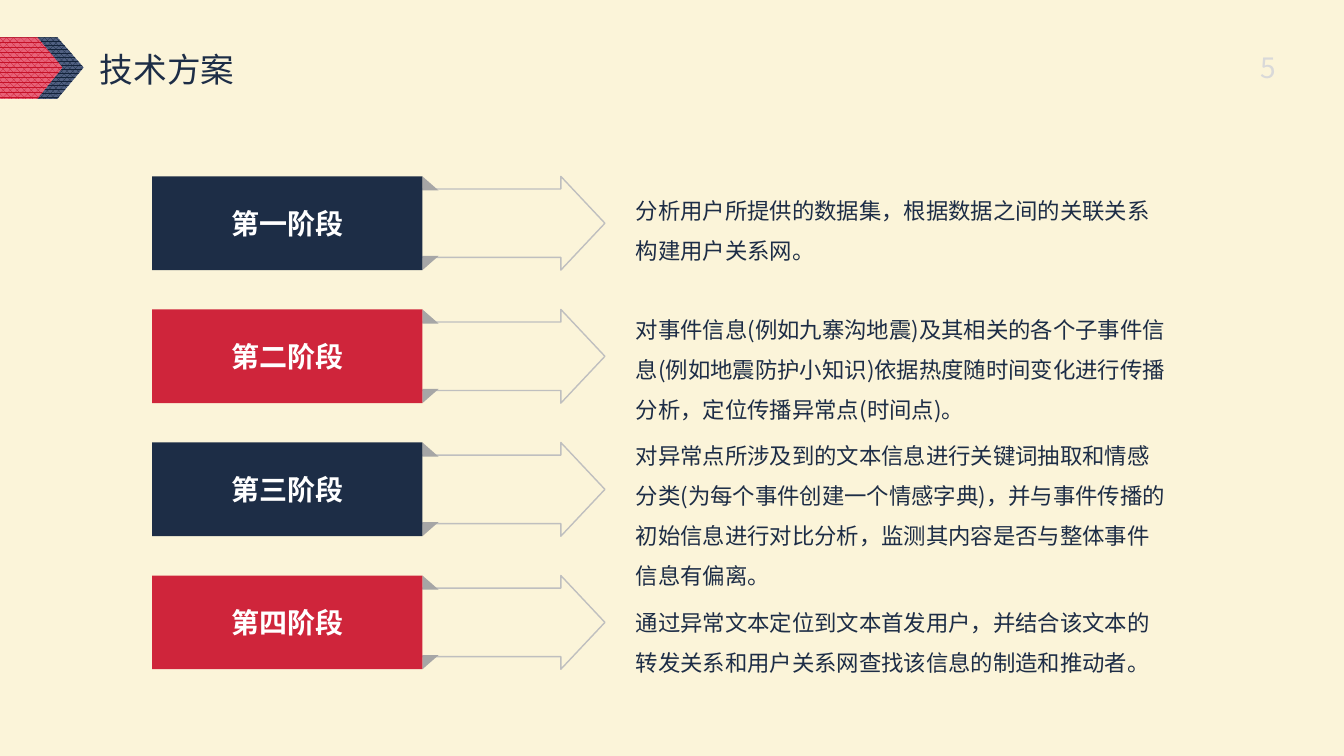
from dataclasses import dataclass

from lxml.etree import SubElement
from pptx import Presentation
from pptx.dml.color import RGBColor
from pptx.enum.dml import MSO_PATTERN
from pptx.enum.shapes import MSO_SHAPE
from pptx.enum.text import MSO_ANCHOR, PP_ALIGN
from pptx.oxml.ns import qn
from pptx.util import Inches, Pt

FONT = "Noto Sans CJK SC"
CREAM, NAVY, RED = "FBF4D9", "1D2D46", "CF253B"
WHITE, FOLD_GREY, LINE_GREY, NUMBER_GREY = "FFFFFF", "A6A6A6", "BFBFBF", "D9D9D9"
FIRST_TOP, PITCH, BANNER_HEIGHT = 1.75, 1.32, 0.93
BANNER_LEFT, BANNER_WIDTH = 1.51, 2.68
FOLD_WIDTH, FOLD_HEIGHT = 0.16, 0.14


@dataclass
class Stage:
    name: str
    text: str
    text_top: float
    text_height: float


@dataclass
class Chevron:
    shoulder: float
    tip: float
    pattern: MSO_PATTERN
    fore: str
    back: str


STAGES = [
    Stage("第一阶段", "分析用户所提供的数据集，根据数据之间的关联关系构建用户关系网。", 1.77, 0.91),
    Stage("第二阶段", "对事件信息(例如九寨沟地震)及其相关的各个子事件信息(例如地震防护小知识)"
          "依据热度随时间变化进行传播分析，定位传播异常点(时间点)。", 2.95, 1.31),
    Stage("第三阶段", "对异常点所涉及到的文本信息进行关键词抽取和情感分类(为每个事件创建一个情感字典)，"
          "并与事件传播的初始信息进行对比分析，监测其内容是否与整体事件信息有偏离。", 4.2, 1.72),
    Stage("第四阶段", "通过异常文本定位到文本首发用户，并结合该文本的转发关系和用户关系网"
          "查找该信息的制造和推动者。", 5.86, 0.91),
]
CHEVRONS = [
    Chevron(0.57, 0.83, MSO_PATTERN.PERCENT_75, "13233B", "506081"),
    Chevron(0.37, 0.62, MSO_PATTERN.PERCENT_70, "C61027", "E76278"),
]


def color(value: str) -> RGBColor:
    return RGBColor.from_string(value)


def write(box, text: str, size: int, ink: str, bold: bool = False,
          align=PP_ALIGN.LEFT, spacing: float = 1.0, anchor=MSO_ANCHOR.TOP) -> None:
    frame = box.text_frame
    frame.word_wrap = True
    frame.vertical_anchor = anchor
    para = frame.paragraphs[0]
    para.text = text
    para.alignment = align
    para.line_spacing = spacing
    font = para.font
    font.name, font.size, font.bold = FONT, Pt(size), bold
    font.color.rgb = color(ink)
    properties = para._p.pPr.find(qn("a:defRPr"))
    SubElement(properties, qn("a:ea")).set("typeface", FONT)


def add_text(page, left: float, top: float, width: float, height: float,
             text: str, size: int, ink: str, **style) -> None:
    box = page.shapes.add_textbox(Inches(left), Inches(top), Inches(width), Inches(height))
    write(box, text, size, ink, **style)


def add_solid(page, kind, left: float, top: float, width: float, height: float, fill: str):
    shape = page.shapes.add_shape(kind, Inches(left), Inches(top), Inches(width), Inches(height))
    shape.shadow.inherit = False
    shape.fill.solid()
    shape.fill.fore_color.rgb = color(fill)
    shape.line.fill.background()
    return shape


def add_chevron(page, chevron: Chevron) -> None:
    top, middle, bottom = 0.37, 0.67, 0.98
    corners = [(chevron.shoulder, top), (chevron.tip, middle),
               (chevron.shoulder, bottom), (0, bottom)]
    builder = page.shapes.build_freeform(0, Inches(top))
    builder.add_line_segments([(Inches(x), Inches(y)) for x, y in corners])
    shape = builder.convert_to_shape()
    shape.shadow.inherit = False
    shape.line.fill.background()
    shape.fill.patterned()
    shape.fill.pattern = chevron.pattern
    shape.fill.fore_color.rgb = color(chevron.fore)
    shape.fill.back_color.rgb = color(chevron.back)


def add_arrow(page, top: float) -> None:
    arrow = add_solid(page, MSO_SHAPE.RIGHT_ARROW, 3, top, 3, BANNER_HEIGHT, CREAM)
    arrow.adjustments[0], arrow.adjustments[1] = 0.73, 0.47
    arrow.line.color.rgb = color(LINE_GREY)
    arrow.line.width = Pt(1)


def add_banner(page, top: float, name: str, fill: str) -> None:
    fold_left = BANNER_LEFT + BANNER_WIDTH
    lower_top = top + BANNER_HEIGHT - FOLD_HEIGHT
    for fold_top, flipped in ((lower_top, True), (top, False)):
        fold = add_solid(page, MSO_SHAPE.RIGHT_TRIANGLE, fold_left, fold_top,
                         FOLD_WIDTH, FOLD_HEIGHT, FOLD_GREY)
        if flipped:
            fold._element.spPr.xfrm.set("flipV", "1")
    banner = add_solid(page, MSO_SHAPE.RECTANGLE, BANNER_LEFT, top,
                       BANNER_WIDTH, BANNER_HEIGHT, fill)
    write(banner, name, 20, WHITE, bold=True, align=PP_ALIGN.CENTER, anchor=MSO_ANCHOR.MIDDLE)


def main() -> None:
    deck = Presentation()
    deck.slide_width, deck.slide_height = Inches(13.33), Inches(7.5)
    page = deck.slides.add_slide(deck.slide_layouts[5])
    page.background.fill.solid()
    page.background.fill.fore_color.rgb = color(CREAM)

    for chevron in CHEVRONS:
        add_chevron(page, chevron)
    title = page.shapes.title
    title.left, title.top = Inches(0.89), Inches(0.48)
    title.width, title.height = Inches(8.62), Inches(0.47)
    write(title, "技术方案", 24, NAVY, spacing=0.9, anchor=MSO_ANCHOR.MIDDLE)
    add_text(page, 11.75, 0.42, 1, 0.5, "5", 20, NUMBER_GREY,
             align=PP_ALIGN.RIGHT, anchor=MSO_ANCHOR.MIDDLE)

    tops = [FIRST_TOP + PITCH * index for index in range(len(STAGES))]
    for top in tops:
        add_arrow(page, top)
    for index, (stage, top) in enumerate(zip(STAGES, tops)):
        add_banner(page, top, stage.name, (NAVY, RED)[index % 2])
        add_text(page, 6.21, stage.text_top, 5.46, stage.text_height,
                 stage.text, 16, NAVY, spacing=1.5)

    deck.save("out.pptx")


if __name__ == "__main__":
    main()
